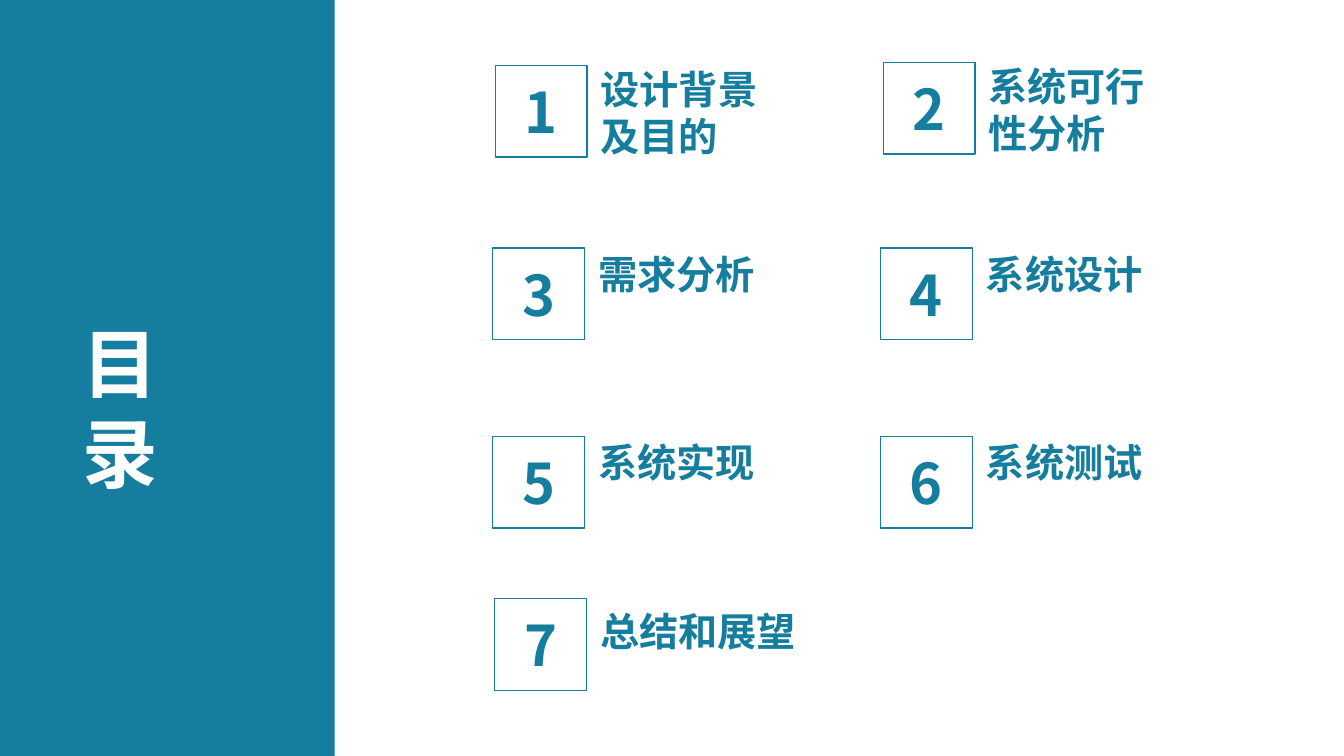
from dataclasses import dataclass

from lxml import etree
from pptx import Presentation
from pptx.dml.color import RGBColor
from pptx.enum.shapes import MSO_SHAPE
from pptx.enum.text import MSO_ANCHOR, MSO_AUTO_SIZE, PP_ALIGN
from pptx.oxml.ns import qn
from pptx.util import Inches, Pt


@dataclass(frozen=True)
class Theme:
    font: str = "Noto Sans CJK SC"
    teal: RGBColor = RGBColor(0x15, 0x7E, 0x9F)
    white: RGBColor = RGBColor(0xFF, 0xFF, 0xFF)
    title_size: int = 54
    number_size: int = 40
    label_size: int = 28


@dataclass(frozen=True)
class Topic:
    text: str
    label_width: float = 19.64
    lines: int = 1
    nudge: tuple = (0, 0)


class ContentsPage:
    """Places elements on a page; all lengths are percent of the slide."""

    def __init__(self, deck, theme):
        self.deck, self.theme = deck, theme
        self.page = deck.slides.add_slide(deck.slide_layouts[5])

    def area(self, left, top, width, height):
        across, down = self.deck.slide_width / 100, self.deck.slide_height / 100
        return (round(left * across), round(top * down),
                round(width * across), round(height * down))

    def set_text(self, box, text, size, color, align=PP_ALIGN.LEFT, anchor=MSO_ANCHOR.TOP, wrap=True):
        frame = box.text_frame
        frame.text = text
        frame.word_wrap = wrap
        frame.vertical_anchor = anchor
        para = frame.paragraphs[0]
        para.alignment = align
        span = para.runs[0]
        span.font.name, span.font.size, span.font.bold = self.theme.font, Pt(size), True
        span.font.color.rgb = color
        # East Asian glyphs take their own typeface entry
        latin = span.font._element.find(qn("a:latin"))
        east_asian = etree.Element(qn("a:ea"), typeface=self.theme.font)
        latin.addnext(east_asian)

    def title(self, text, *place):
        box = self.page.shapes.title
        box.left, box.top, box.width, box.height = self.area(*place)
        self.set_text(box, text, self.theme.title_size, self.theme.white, wrap=False)
        box.text_frame.auto_size = MSO_AUTO_SIZE.SHAPE_TO_FIT_TEXT

    def rectangle(self, *place):
        box = self.page.shapes.add_shape(MSO_SHAPE.RECTANGLE, *self.area(*place))
        box.shadow.inherit = False
        return box

    def band(self, *place):
        box = self.rectangle(*place)
        box.fill.solid()
        box.fill.fore_color.rgb = self.theme.teal
        box.line.fill.background()
        # The band lies behind the title
        self.page.shapes.title._element.addprevious(box._element)

    def number(self, value, *place):
        box = self.rectangle(*place)
        box.fill.background()
        box.line.color.rgb, box.line.width = self.theme.teal, Pt(1)
        self.set_text(box, str(value), self.theme.number_size, self.theme.teal,
                      PP_ALIGN.CENTER, MSO_ANCHOR.MIDDLE)

    def label(self, text, *place):
        box = self.page.shapes.add_textbox(*self.area(*place))
        self.set_text(box, text, self.theme.label_size, self.theme.teal)
        box.text_frame.auto_size = MSO_AUTO_SIZE.SHAPE_TO_FIT_TEXT


# Grid of topics, in percent of the slide
COLUMNS = (36.66, 65.52)
SQUARE_TOPS = (8.67, 32.8, 57.73, 79.2)
LABEL_TOPS = (8, 32.4, 57.33, 79.73)
SQUARE_WIDTH, SQUARE_HEIGHT = 6.82, 12.1
LABEL_OFFSET = 7.1
LABEL_PADDING, LINE_HEIGHT = 1.33, 6.27

TOPICS = (
    Topic("设计背景及目的", 15.59, 2, (0.2, 0)),
    Topic("系统可行性分析", 13.27, 2, (0.2, -0.4)),
    Topic("需求分析"),
    Topic("系统设计"),
    Topic("系统实现"),
    Topic("系统测试"),
    Topic("总结和展望", nudge=(0.15, 0)),
)


def main():
    deck = Presentation()
    deck.slide_width, deck.slide_height = Inches(13.34), Inches(7.5)
    contents = ContentsPage(deck, Theme())

    # Side band with the title
    contents.band(0, 0, 24.9, 100)
    contents.title("目录", 5.4, 41.2, 12.74, 13.33)

    # Numbered topics, two to a row
    for index, topic in enumerate(TOPICS):
        row, column = divmod(index, len(COLUMNS))
        right, down = topic.nudge
        left = COLUMNS[column] + right
        contents.number(index + 1, left, SQUARE_TOPS[row] + down, SQUARE_WIDTH, SQUARE_HEIGHT)
        contents.label(topic.text, left + LABEL_OFFSET, LABEL_TOPS[row] + down,
                       topic.label_width, LABEL_PADDING + topic.lines * LINE_HEIGHT)

    deck.save("out.pptx")


if __name__ == "__main__":
    main()
